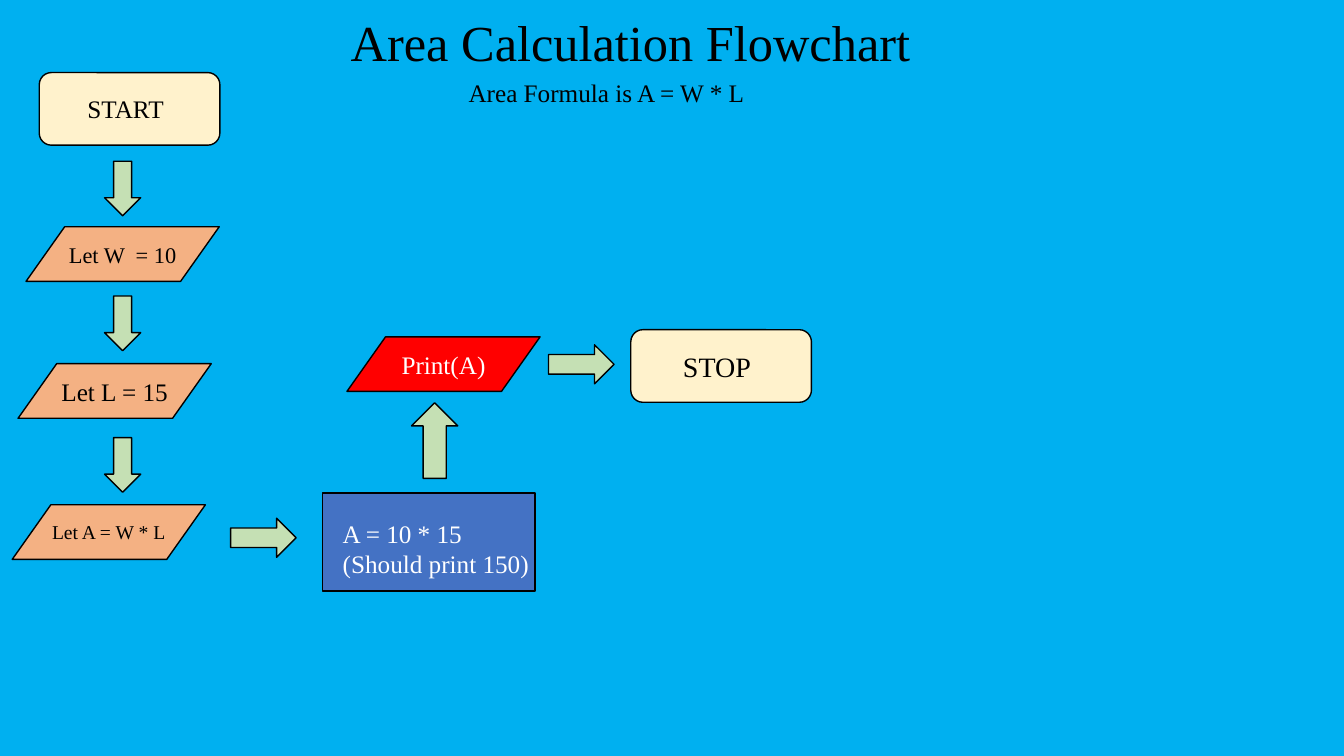
from pptx import Presentation
from pptx.dml.color import RGBColor
from pptx.enum.shapes import MSO_SHAPE as SHAPE
from pptx.enum.text import MSO_ANCHOR as ANCHOR, MSO_AUTO_SIZE as FIT, PP_ALIGN as ALIGN
from pptx.util import Inches, Pt

SKY = RGBColor(0x00, 0xB0, 0xF0)
CREAM = RGBColor(0xFF, 0xF2, 0xCC)
GREEN = RGBColor(0xC5, 0xE0, 0xB4)
ORANGE = RGBColor(0xF4, 0xB1, 0x83)
RED = RGBColor(0xFF, 0x00, 0x00)
BLUE = RGBColor(0x44, 0x72, 0xC4)
BLACK = RGBColor(0x00, 0x00, 0x00)
WHITE = RGBColor(0xFF, 0xFF, 0xFF)

FONT = "Times New Roman"
COLS, ROWS = 160, 90
TERMINAL = (21.5, 8.64)
STEP = (23, 6.5)
ARROW_DOWN = (4.3, 6.5)
ARROW_RIGHT = (7.8, 4.65)
ARROW_UP = (5.5, 9)


class Flowchart:
    """Holds the style and the slide; places elements in grid cells."""

    def __init__(self, prs):
        """Add a title-only slide with a plain background."""
        self.s = prs.slides.add_slide(prs.slide_layouts[5])
        self.cell_w = prs.slide_width / COLS
        self.cell_h = prs.slide_height / ROWS
        fill = self.s.background.fill
        fill.solid()
        fill.fore_color.rgb = SKY

    def box(self, at, size):
        """Turn a grid position and size into slide lengths."""
        return [int(n * unit) for n, unit in
                zip((*at, *size), (self.cell_w, self.cell_h) * 2)]

    def set_text(self, sp, text, size, color=BLACK, align=ALIGN.LEFT):
        """Set the text of a shape and format its runs."""
        tf = sp.text_frame
        tf.text = text
        tf.word_wrap = True
        tf.auto_size = FIT.NONE
        for p in tf.paragraphs:
            p.alignment = align
            for r in p.runs:
                r.font.name = FONT
                r.font.size = Pt(size)
                r.font.color.rgb = color
        return tf

    def title(self, at, size, text):
        """Move and fill the title placeholder."""
        sp = self.s.shapes.title
        sp.left, sp.top, sp.width, sp.height = self.box(at, size)
        self.set_text(sp, text, 36).vertical_anchor = ANCHOR.TOP

    def label(self, at, size, text):
        """Add a free line of text."""
        self.set_text(self.s.shapes.add_textbox(*self.box(at, size)), text, 18)

    def shape(self, kind, at, size, fill):
        """Add an outlined preset shape."""
        sp = self.s.shapes.add_shape(kind, *self.box(at, size))
        sp.shadow.inherit = False
        sp.fill.solid()
        sp.fill.fore_color.rgb = fill
        sp.line.color.rgb = BLACK
        sp.line.width = Pt(1)
        return sp

    def node(self, kind, at, size, fill, text, pt, color=BLACK,
             align=ALIGN.CENTER, insets=(0, 0, 0, 0)):
        """Add a shape with text; insets run left, top, right, bottom."""
        sp = self.shape(kind, at, size, fill)
        tf = self.set_text(sp, text, pt, color, align)
        tf.vertical_anchor = ANCHOR.MIDDLE
        (tf.margin_left, tf.margin_top,
         tf.margin_right, tf.margin_bottom) = map(Inches, insets)

    def terminal(self, at, text, pt):
        """Add a start or stop node."""
        self.node(SHAPE.FLOWCHART_ALTERNATE_PROCESS, at, TERMINAL, CREAM,
                  text, pt, insets=(0, 0, 0.08, 0))

    def step(self, at, text, pt, fill=ORANGE, color=BLACK):
        """Add an input or output node."""
        self.node(SHAPE.FLOWCHART_DATA, at, STEP, fill, text, pt, color)


prs = Presentation()
prs.slide_width, prs.slide_height = Inches(13.33), Inches(7.5)
chart = Flowchart(prs)

chart.title((40.55, 0.7), (80.2, 16.55), "Area Calculation Flowchart")
chart.label((54.6, 8.65), (50.8, 4.8), "Area Formula is A = W * L")

chart.terminal((4.68, 8.64), "START", 18)
chart.step((3.1, 27), "Let W  = 10", 16)
chart.step((2.15, 43.3), "Let L = 15", 18)
chart.step((1.45, 60.1), "Let A = W * L", 14)
chart.node(SHAPE.RECTANGLE, (38.4, 58.7), (25.3, 11.65), BLUE,
           "A = 10 * 15\v(Should print 150)", 18, WHITE, ALIGN.LEFT, (0.2, 0.12, 0, 0))
chart.step((41.3, 40.1), "Print(A)", 18, RED, WHITE)
chart.terminal((75.1, 39.25), "STOP", 20)

for row in (19.2, 35.25, 52.1):
    chart.shape(SHAPE.DOWN_ARROW, (12.45, row), ARROW_DOWN, GREEN)
for at in ((27.45, 61.7), (65.3, 41.05)):
    chart.shape(SHAPE.RIGHT_ARROW, at, ARROW_RIGHT, GREEN)
chart.shape(SHAPE.UP_ARROW, (49, 47.95), ARROW_UP, GREEN)

prs.save("out.pptx")
